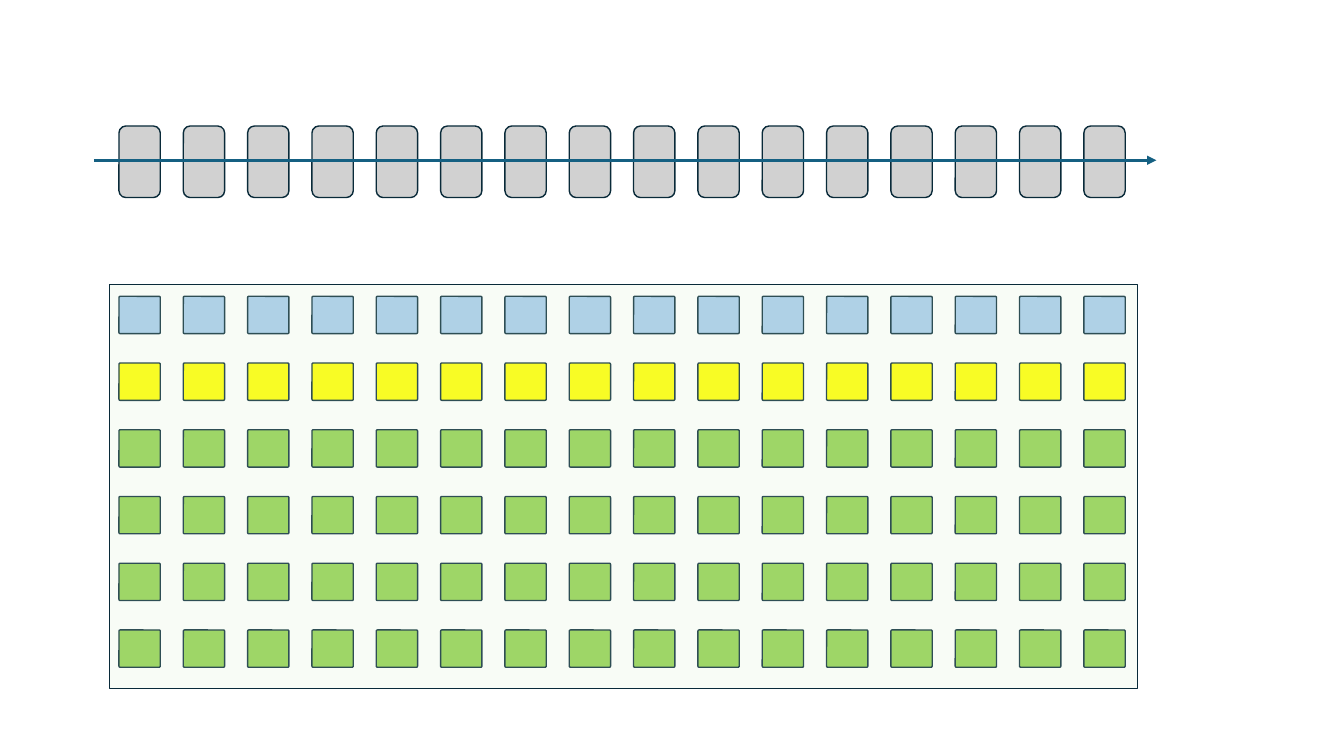
"""Draw a row of blocks along an arrow above a panel with a grid of coloured cells."""
from dataclasses import dataclass

from lxml import etree
from pptx import Presentation
from pptx.dml.color import RGBColor
from pptx.enum.shapes import MSO_CONNECTOR, MSO_SHAPE
from pptx.oxml.ns import qn
from pptx.util import Emu, Pt

ROUNDED = MSO_SHAPE.ROUNDED_RECTANGLE
STRAIGHT = MSO_CONNECTOR.STRAIGHT
PX = 9144
PAGE_WIDTH, PAGE_HEIGHT = 1333, 750
BLANK_LAYOUT = 6
COLUMNS = 16
FIRST_LEFT, LAST_LEFT = 118, 1075
FIRST_TOP, LAST_TOP = 294, 625
CELL_WIDTH, CELL_HEIGHT = 41, 37
BLOCK_TOP, BLOCK_HEIGHT = 125, 71
ARROW_START, ARROW_END, ARROW_Y = 93, 1147, 159
PANEL = (109, 282, 1019, 401)


@dataclass(frozen=True)
class Theme:
    """Colours, line widths in points and corner ratios."""
    block: str = "D1D1D1"
    outline: str = "092A39"
    arrow: str = "156082"
    panel: str = "D9F2D0"
    cell_rows: tuple = ("A6CAEC", "FFFF00") + ("92D050",) * 4
    shape_line: float = 1
    panel_line: float = 0.75
    arrow_line: float = 2.25
    block_corner: float = 0.1667
    cell_corner: float = 0.034
    panel_opacity: int = 18


THEME = Theme()


def px(length):
    """Turn pixels into EMU."""
    return Emu(round(length * PX))


def spread(first, last, count):
    """Return evenly spaced positions from first to last."""
    return [first + (last - first) * step / (count - 1) for step in range(count)]


def set_line(line, colour, width):
    """Give an outline its colour and width."""
    line.color.rgb = RGBColor.from_string(colour)
    line.width = Pt(width)


def add_box(page, area, fill, corner, line_width=THEME.shape_line):
    """Add an outlined rounded rectangle."""
    box = page.shapes.add_shape(ROUNDED, *map(px, area))
    box.shadow.inherit = False
    box.adjustments[0] = corner
    box.fill.solid()
    box.fill.fore_color.rgb = RGBColor.from_string(fill)
    set_line(box.line, THEME.outline, line_width)
    return box


def add_row(page, top, height, fill, corner):
    """Add one row of equal boxes across all columns."""
    for left in spread(FIRST_LEFT, LAST_LEFT, COLUMNS):
        add_box(page, (left, top, CELL_WIDTH, height), fill, corner)


def add_arrow(page):
    """Add the horizontal arrow through the blocks."""
    ends = (ARROW_START, ARROW_Y, ARROW_END, ARROW_Y)
    arrow = page.shapes.add_connector(STRAIGHT, *map(px, ends))
    set_line(arrow.line, THEME.arrow, THEME.arrow_line)
    etree.SubElement(arrow.line._get_or_add_ln(), qn("a:tailEnd"), type="triangle")
    etree.SubElement(arrow._element.spPr, qn("a:effectLst"))


def add_panel(page):
    """Add the translucent panel over the cells."""
    panel = add_box(page, PANEL, THEME.panel, 0, THEME.panel_line)
    colour = panel._element.spPr.find(qn("a:solidFill")).find(qn("a:srgbClr"))
    etree.SubElement(colour, qn("a:alpha"), val=str(THEME.panel_opacity * 1000))


def main():
    """Build the slide and save the deck."""
    deck = Presentation()
    for name, length in {"slide_width": PAGE_WIDTH, "slide_height": PAGE_HEIGHT}.items():
        setattr(deck, name, px(length))
    page = deck.slides.add_slide(deck.slide_layouts[BLANK_LAYOUT])
    add_row(page, BLOCK_TOP, BLOCK_HEIGHT, THEME.block, THEME.block_corner)
    add_arrow(page)
    tops = spread(FIRST_TOP, LAST_TOP, len(THEME.cell_rows))
    for top, fill in zip(tops, THEME.cell_rows):
        add_row(page, top, CELL_HEIGHT, fill, THEME.cell_corner)
    add_panel(page)
    deck.save("out.pptx")


if __name__ == "__main__":
    main()
